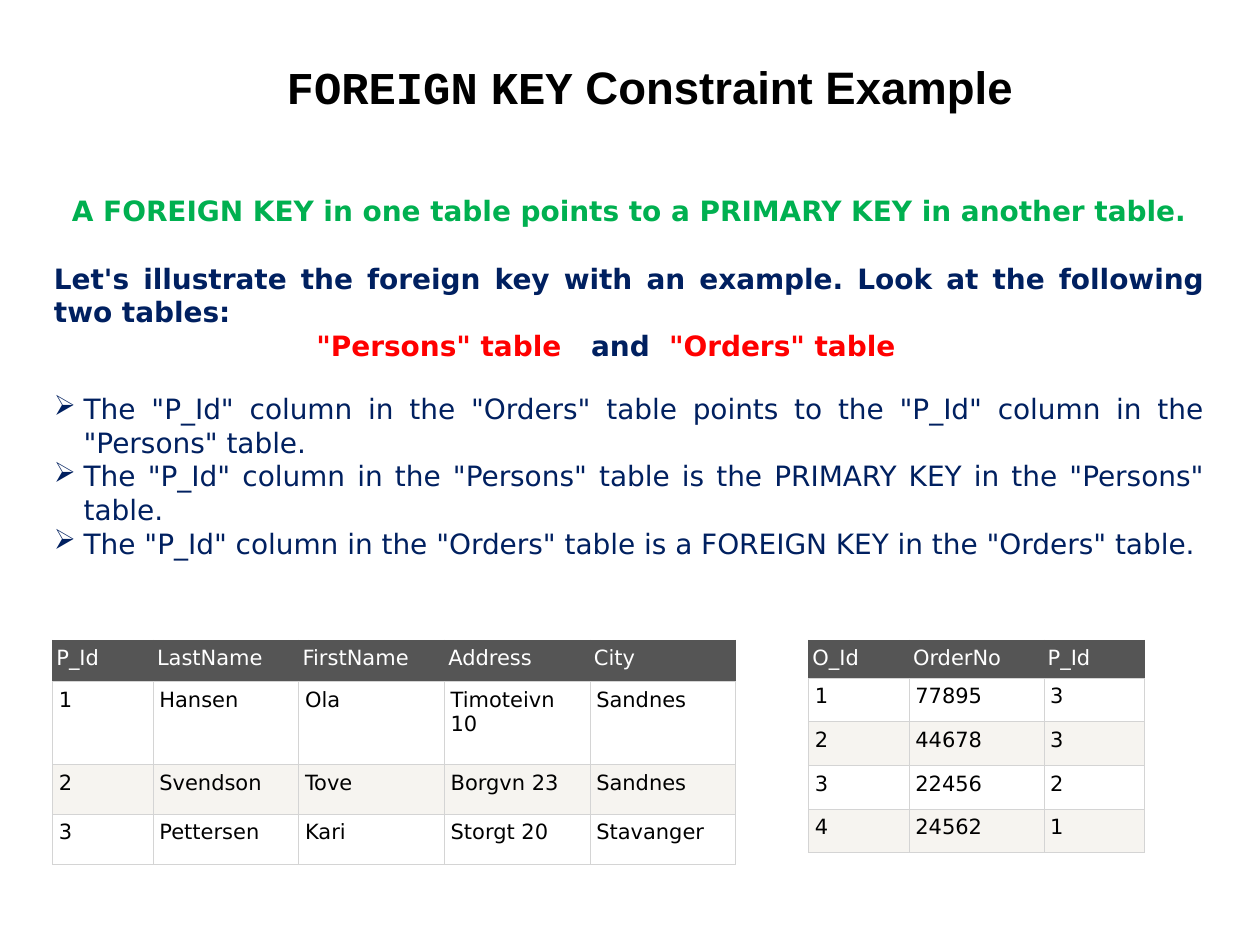
from lxml.etree import SubElement
from pptx import Presentation
from pptx.dml.color import RGBColor
from pptx.enum.text import MSO_ANCHOR, PP_ALIGN
from pptx.oxml.ns import qn
from pptx.util import Pt

COLOURS = {
    "black": "000000", "white": "FFFFFF", "green": "00B050", "navy": "002060",
    "red": "FF0000", "header": "555555", "band": "F6F4F0", "grid": "D4D4D4",
}


def rgb(name):
    return RGBColor.from_string(COLOURS[name])


class SlideWriter:
    """Holds the text style and the page being filled."""

    def __init__(self, page, face="DejaVu Sans"):
        self.page = page
        self.face = face

    def text_box(self, left, top, width, height, insets):
        box = self.page.shapes.add_textbox(Pt(left), Pt(top), Pt(width), Pt(height))
        frame = box.text_frame
        frame.word_wrap = True
        frame.vertical_anchor = MSO_ANCHOR.TOP
        frame.margin_left = frame.margin_right = Pt(insets[0])
        frame.margin_top = frame.margin_bottom = Pt(insets[1])
        return frame

    def span(self, para, text, size, colour, bold=False, face=None):
        span = para.add_run()
        span.text = text
        span.font.size = Pt(size)
        span.font.bold = bold
        span.font.name = face or self.face
        span.font.color.rgb = rgb(colour)

    def paragraph(self, frame, align, before=0):
        first = not frame.paragraphs[0].runs
        para = frame.paragraphs[0] if first else frame.add_paragraph()
        para.alignment = align
        if before:
            para.space_before = Pt(before)
        return para

    def tab_stops(self, para, positions):
        stops = SubElement(para._p.get_or_add_pPr(), qn("a:tabLst"))
        for position in positions:
            SubElement(stops, qn("a:tab"), pos=str(Pt(position)), algn="l")

    def bullet(self, para, indent, colour):
        properties = para._p.get_or_add_pPr()
        properties.set("marL", str(Pt(indent)))
        properties.set("indent", str(-Pt(indent)))
        tint = SubElement(properties, qn("a:buClr"))
        SubElement(tint, qn("a:srgbClr"), val=COLOURS[colour])
        SubElement(properties, qn("a:buChar"), char="➢")

    def borders(self, cell, sides):
        properties = cell._tc.get_or_add_tcPr()
        for side, colour in sides.items():
            line = SubElement(properties, qn(f"a:ln{side}"), w=str(Pt(0.34)))
            fill = SubElement(line, qn("a:solidFill"))
            SubElement(fill, qn("a:srgbClr"), val=COLOURS[colour])

    def table(self, left, top, widths, heights, rows):
        shape = self.page.shapes.add_table(
            len(rows), len(widths), Pt(left), Pt(top), Pt(sum(widths)), Pt(sum(heights)))
        table = shape.table
        table.first_row = table.horz_banding = False
        for column, width in zip(table.columns, widths):
            column.width = Pt(width)
        for r, (values, height) in enumerate(zip(rows, heights)):
            table.rows[r].height = Pt(height)
            edge = "grid" if r else "header"
            fill = ("band", "white")[r % 2] if r else "header"
            for c, value in enumerate(values):
                cell = table.cell(r, c)
                cell.margin_left = cell.margin_right = Pt(3.6 if r else 2.25)
                cell.margin_top = cell.margin_bottom = Pt(3.6)
                self.borders(cell, {"L": edge, "R": edge, "T": "grid" if r else edge, "B": "grid"})
                cell.fill.solid()
                cell.fill.fore_color.rgb = rgb(fill)
                self.span(cell.text_frame.paragraphs[0], value, 12, "black" if r else "white")


def main():
    deck = Presentation()
    deck.slide_width, deck.slide_height = Pt(720), Pt(540)
    writer = SlideWriter(deck.slides.add_slide(deck.slide_layouts[6]))

    # Title: keywords in a monospaced face
    frame = writer.text_box(59.75, 33, 623.5, 39, (0.75, 0.75))
    para = writer.paragraph(frame, PP_ALIGN.CENTER)
    for text, face in (("FOREIGN", "Courier New"), (" ", "Arial"),
                       ("KEY", "Courier New"), (" Constraint Example", "Arial")):
        writer.span(para, text, 26, "black", True, face)

    # Introduction
    frame = writer.text_box(23.75, 107.25, 671.75, 220, (7.2, 3.6))
    para = writer.paragraph(frame, PP_ALIGN.CENTER)
    writer.span(para, "A FOREIGN KEY in one table points to a PRIMARY KEY in another table.",
                16, "green", True)
    para = writer.paragraph(frame, PP_ALIGN.JUSTIFY, 19.25)
    writer.span(para, "Let's illustrate the foreign key with an example. "
                "Look at the following two tables:", 16, "navy", True)

    # Names of the two tables, set on tab stops
    para = writer.paragraph(frame, PP_ALIGN.LEFT)
    writer.tab_stops(para, (150, 307, 351.5))
    for text, colour in (('\t"Persons" table', "red"), ("\tand", "navy"),
                         ('\t"Orders" table', "red")):
        writer.span(para, text, 16, colour, True)

    # Key relations
    relations = (
        'The "P_Id" column in the "Orders" table points to the "P_Id" column '
        'in the "Persons" table.',
        'The "P_Id" column in the "Persons" table is the PRIMARY KEY in the "Persons" table.',
        'The "P_Id" column in the "Orders" table is a FOREIGN KEY in the "Orders" table.',
    )
    for number, text in enumerate(relations):
        para = writer.paragraph(frame, PP_ALIGN.JUSTIFY, 0 if number else 17)
        writer.bullet(para, 17, "navy")
        writer.span(para, text, 16, "navy")

    # Persons and Orders tables
    table_top = 365.75
    writer.table(30, table_top, [57.5] + [83.25] * 4, [23.5, 47.5, 28.5, 28.5], [
        ("P_Id", "LastName", "FirstName", "Address", "City"),
        ("1", "Hansen", "Ola", "Timoteivn 10", "Sandnes"),
        ("2", "Svendson", "Tove", "Borgvn 23", "Sandnes"),
        ("3", "Pettersen", "Kari", "Storgt 20", "Stavanger"),
    ])
    writer.table(462, table_top, [57.5, 77, 57.5], [21.75] + [24.9] * 4, [
        ("O_Id", "OrderNo", "P_Id"),
        ("1", "77895", "3"),
        ("2", "44678", "3"),
        ("3", "22456", "2"),
        ("4", "24562", "1"),
    ])

    deck.save("out.pptx")


if __name__ == "__main__":
    main()
